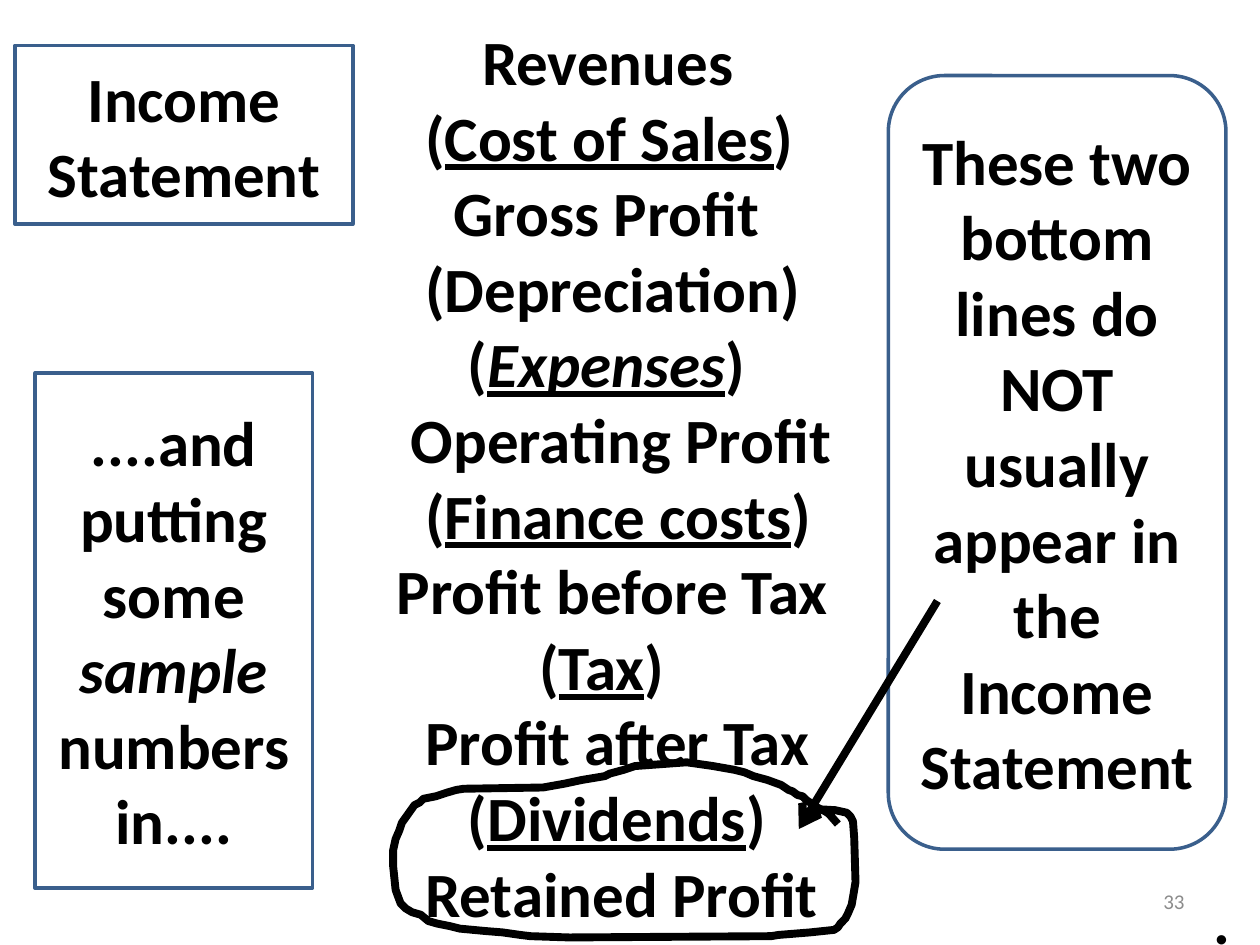
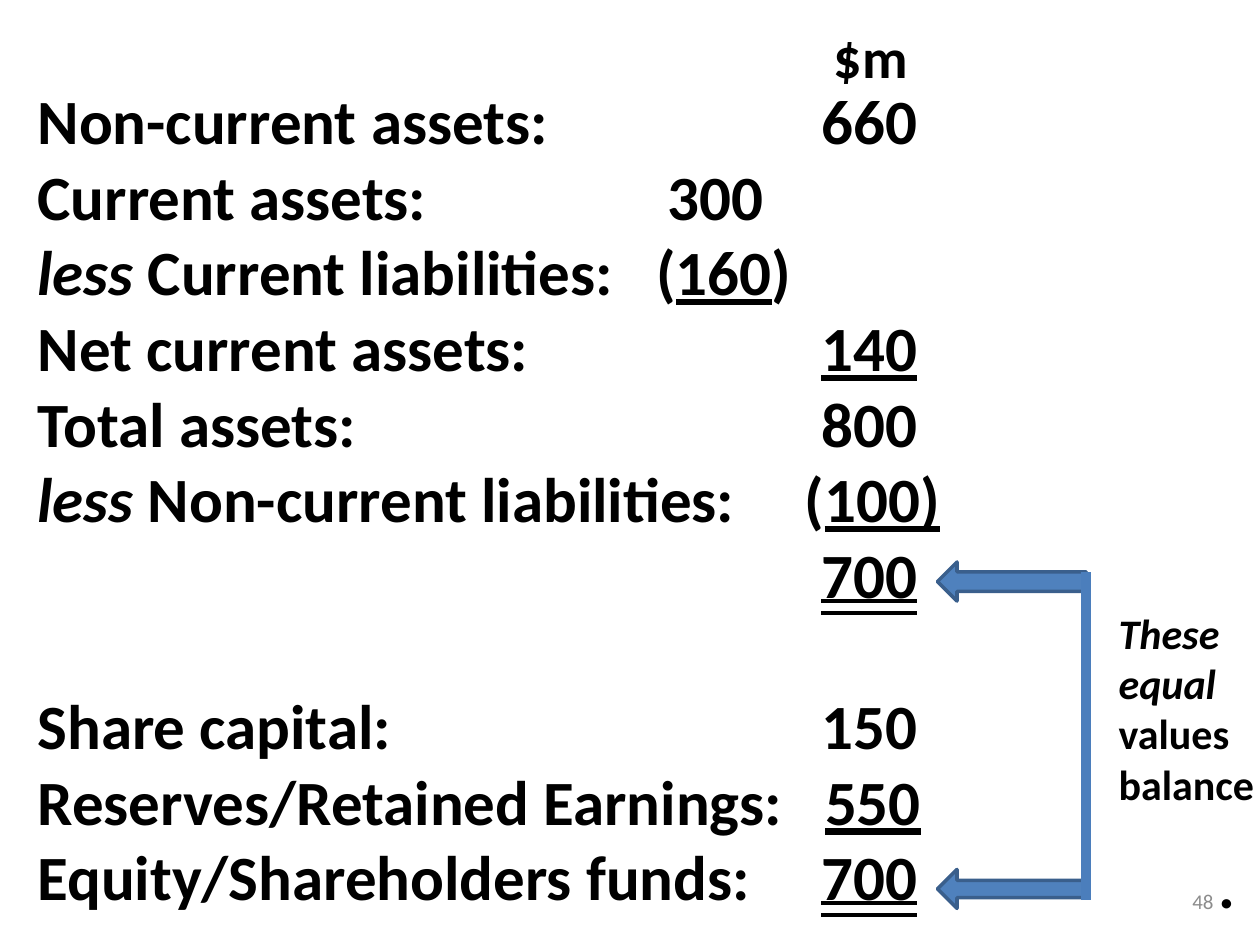
from lxml import etree
from pptx import Presentation
from pptx import util as u
from pptx.dml.color import RGBColor
from pptx.enum import shapes, text
from pptx.oxml.ns import qn

WIDTH, HEIGHT = u.Inches(10), u.Inches(7.5)
COL, ROW = WIDTH / 100, HEIGHT / 75
COLORS = {"ink": "000000", "outline": "3A5F8C", "arrow": "4F81BD",
          "spine": "4B7EBC", "number": "8C8C8C"}
FONT = "Calibri"
SPACE_WIDTH = 1.13
LINE_PITCH = 43.2
STYLES = {
    "i": {"italic": True},
    "u": {"underline": True},
    "d": {"underline": text.MSO_UNDERLINE.DOUBLE_LINE},
}

STATEMENT = [
    (6, [("Revenues", "")]),
    (2, [("(", ""), ("Cost of Sales", "u"), (")", "")]),
    (4, [("Gross Profit", "")]),
    (2, [("(Depreciation)", "")]),
    (5, [("(", ""), ("Expenses", "iu"), (")", "")]),
    (1, [("Operating Profit", "")]),
    (2, [("(", ""), ("Finance costs", "u"), (")", "")]),
    (0, [("Profit before Tax", "")]),
    (10, [("(", ""), ("Tax", "u"), (")", "")]),
    (2, [("Profit after Tax", "")]),
    (5, [("(", ""), ("Dividends", "u"), (")", "")]),
    (2, [("Retained Profit", "")]),
]

INNER, INNER_NEGATIVE = 50, 49.1
OUTER, OUTER_NEGATIVE, OUTER_RESERVES = 62.2, 60.9, 62.5
BALANCE = [
    (OUTER, [("Non-current assets:\t660", "")]),
    (INNER, [("Current assets:\t300", "")]),
    (INNER_NEGATIVE, [("less", "i"), (" Current liabilities:\t(", ""), ("160", "u"), (")", "")]),
    (OUTER, [("Net current assets:\t", ""), ("140", "u")]),
    (OUTER, [("Total assets:\t800", "")]),
    (OUTER_NEGATIVE, [("less", "i"), (" Non-current liabilities:\t(", ""), ("100)", "u")]),
    (OUTER, [("\t", ""), ("700", "d")]),
    (OUTER, [("Share capital:\t150", "")]),
    (OUTER_RESERVES, [("Reserves/Retained Earnings:\t", ""), ("550", "u")]),
    (OUTER, [("Equity/Shareholders funds:\t", ""), ("700", "d")]),
]
FUNDING_START = 7

RING = [
    (354, 49), (347, 41), (344, 39), (336, 35), (332, 32), (329, 30), (326, 27),
    (322, 26), (318, 23), (315, 22), (309, 18), (298, 14), (287, 11), (280, 8),
    (272, 6), (255, 3), (248, 2), (234, 0), (193, 3), (184, 6), (173, 9),
    (169, 11), (151, 14), (137, 17), (120, 20), (57, 21), (51, 22), (44, 24),
    (35, 27), (25, 29), (22, 32), (18, 34), (13, 41), (8, 48), (6, 54), (3, 61),
    (1, 70), (1, 82), (3, 101), (4, 104), (7, 112), (11, 116), (16, 119),
    (23, 121), (29, 126), (36, 128), (46, 130), (54, 132), (75, 134), (88, 135),
    (102, 137), (110, 138), (141, 139), (301, 138), (307, 137), (332, 135),
    (351, 133), (354, 131), (356, 128), (360, 124), (362, 120), (365, 113),
    (366, 107), (368, 95), (367, 60), (366, 47), (364, 43), (361, 40),
    (352, 38), (334, 37), (333, 36),
]


def apply(target, values):
    for name, value in values.items():
        setattr(target, name, value)


def color(name):
    return RGBColor.from_string(COLORS[name])


def emu(box):
    left, top, width, height = box
    return int(left * COL), int(top * ROW), int(width * COL), int(height * ROW)


def write(paragraph, runs, size=36, bold=True, ink="ink"):
    for words, marks in runs:
        run = paragraph.add_run()
        run.text = words
        apply(run.font, {"name": FONT, "size": u.Pt(size), "bold": bold})
        run.font.color.rgb = color(ink)
        for mark in marks:
            apply(run.font, STYLES[mark])


def fill_lines(frame, lines, **look):
    paragraphs = []
    for index, runs in enumerate(lines):
        paragraph = frame.add_paragraph() if index else frame.paragraphs[0]
        write(paragraph, runs, **look)
        paragraphs.append(paragraph)
    return paragraphs


def text_block(slide, box, lines, **look):
    frame = slide.shapes.add_textbox(*emu(box)).text_frame
    frame.word_wrap = True
    return frame, fill_lines(frame, lines, **look)


def outline(line, name, width):
    line.color.rgb = color(name)
    line.width = u.Pt(width)


def straight_line(slide, start, end, name, width, arrowhead=False):
    line = slide.shapes.add_connector(
        shapes.MSO_CONNECTOR.STRAIGHT,
        int(start[0] * COL), int(start[1] * ROW), int(end[0] * COL), int(end[1] * ROW))
    outline(line.line, name, width)
    properties = line._element.spPr
    if arrowhead:
        etree.SubElement(properties.find(qn("a:ln")), qn("a:tailEnd"), type="arrow")
    etree.SubElement(properties, qn("a:effectLst"))


def callout(slide, box, lines, kind=shapes.MSO_SHAPE.RECTANGLE):
    panel = slide.shapes.add_shape(kind, *emu(box))
    panel.shadow.inherit = False
    panel.fill.background()
    outline(panel.line, "outline", 2)
    apply(panel.text_frame, {"word_wrap": True, "vertical_anchor": text.MSO_ANCHOR.MIDDLE})
    for paragraph in fill_lines(panel.text_frame, lines):
        paragraph.alignment = text.PP_ALIGN.CENTER


def page_number(slide, box, number):
    frame, (paragraph,) = text_block(slide, box, [[(number, "")]],
                                     size=12, bold=False, ink="number")
    frame.vertical_anchor = text.MSO_ANCHOR.MIDDLE
    paragraph.alignment = text.PP_ALIGN.RIGHT


def statement_lines(slide, box):
    _, paragraphs = text_block(slide, box, [runs for _, runs in STATEMENT])
    for paragraph, (spaces, _) in zip(paragraphs, STATEMENT):
        properties = paragraph._p.get_or_add_pPr()
        properties.set("marL", str(int(spaces * SPACE_WIDTH * COL)))
        properties.set("indent", "0")


def dividend_ring(slide, box):
    left, top, width, height = emu(box)
    scale = width / max(x for x, _ in RING), height / max(y for _, y in RING)
    builder = slide.shapes.build_freeform(*RING[0], scale=scale)
    builder.add_line_segments(RING[1:], close=False)
    ring = builder.convert_to_shape(left, top)
    ring.shadow.inherit = False
    ring.fill.background()
    outline(ring.line, "ink", 4.5)


def balance_lines(slide, box):
    _, paragraphs = text_block(slide, box, [runs for _, runs in BALANCE])
    for paragraph, (stop, _) in zip(paragraphs, BALANCE):
        tabs = etree.SubElement(paragraph._p.get_or_add_pPr(), qn("a:tabLst"))
        etree.SubElement(tabs, qn("a:tab"), pos=str(int(stop * COL)), algn="l")
    paragraphs[FUNDING_START].space_before = u.Pt(LINE_PITCH)


def equality_bracket(slide, box, thickness=3.1):
    left, top, width, height = box
    for offset, shaft in ((0, 0.5), (height - thickness, 0.44)):
        arrow = slide.shapes.add_shape(shapes.MSO_SHAPE.RIGHT_ARROW,
                                       *emu((left, top + offset, width, thickness)))
        arrow.rotation = 180
        arrow.adjustments[0] = shaft
        arrow.shadow.inherit = False
        arrow.fill.solid()
        arrow.fill.fore_color.rgb = color("arrow")
        outline(arrow.line, "outline", 2)
    right = left + width
    straight_line(slide, (right, top + 0.8), (right, top + height - 0.7), "spine", 6)


def equality_note(slide, box):
    frame, _ = text_block(slide, box, [[("These", "i")], [("equal", "i")],
                                       [("values", "")], [("balance", "")]], size=24)
    frame.margin_right = 0


def income_statement(slide):
    page_number(slide, (71.7, 69.5, 23.3, 4), "33")
    statement_lines(slide, (30.5, 1.3, 37.6, 73.7))
    text_block(slide, (95.3, 69.5, 4.4, 5.5), [[(".", "")]])
    callout(slide, (70.5, 6, 26.8, 61.4),
            [[("These two", "")], [("bottom", "")],
             [("lines do NOT usually appear in the Income", "")], [("Statement", "")]],
            shapes.MSO_SHAPE.ROUNDED_RECTANGLE)
    dividend_ring(slide, (31.1, 60.5, 36.8, 13.9))
    straight_line(slide, (74.4, 47.7), (63.4, 65.8), "ink", 4.5, arrowhead=True)
    callout(slide, (1.2, 3.6, 26.8, 14.2), [[("Income Statement", "")]])
    callout(slide, (2.8, 29.6, 22, 40.9),
            [[("....and putting some ", ""), ("sample", "i"), (" numbers in....", "")]])


def balance_sheet(slide):
    balance_lines(slide, (2, 6, 98, 67.7))
    equality_bracket(slide, (74.4, 44.6, 11.8, 27.5))
    equality_note(slide, (87.8, 47.7, 12.2, 17))
    text_block(slide, (65.2, 1.3, 8, 6.4), [[("$m", "")]], size=32)
    page_number(slide, (71.7, 69.5, 25.6, 4), "48")
    text_block(slide, (95.7, 66.6, 4.3, 7.1), [[(".", "")]])


def main():
    deck = Presentation()
    apply(deck, {"slide_width": WIDTH, "slide_height": HEIGHT})
    for build in (income_statement, balance_sheet):
        build(deck.slides.add_slide(deck.slide_layouts[6]))
    deck.save("out.pptx")


if __name__ == "__main__":
    main()
